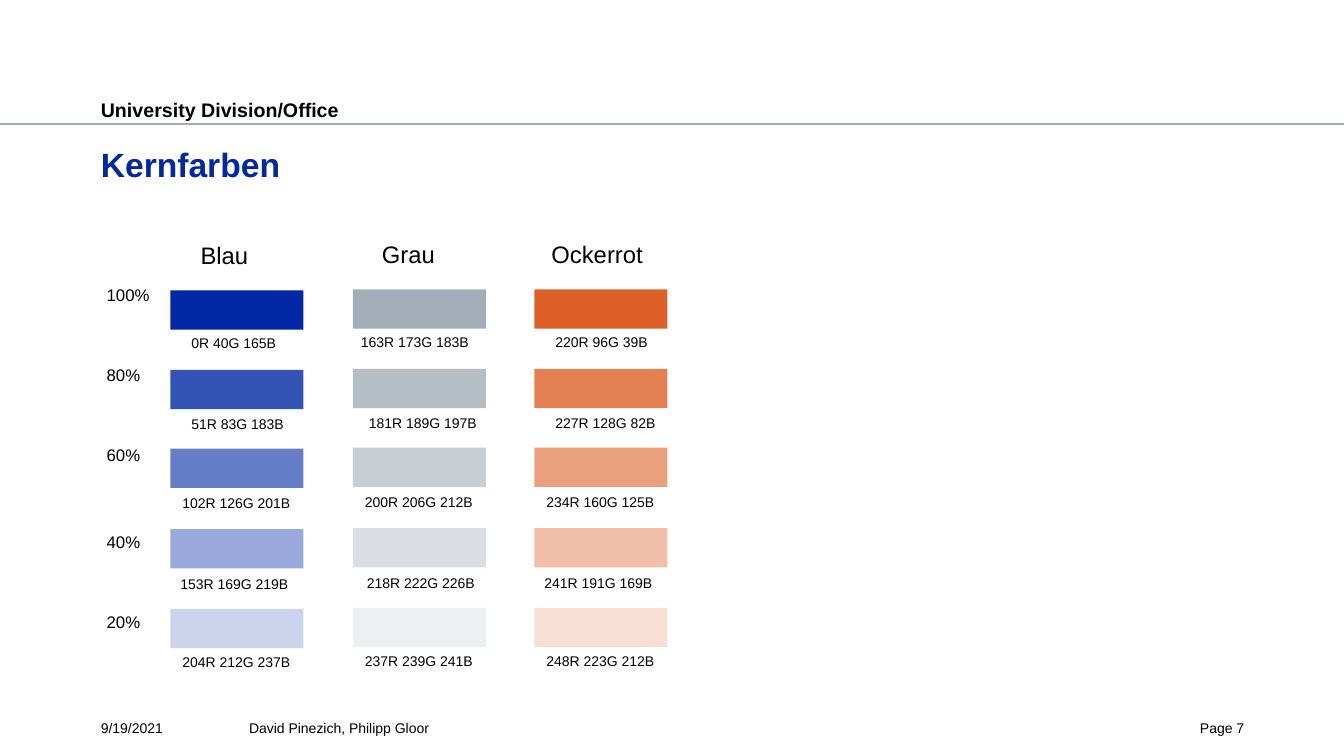
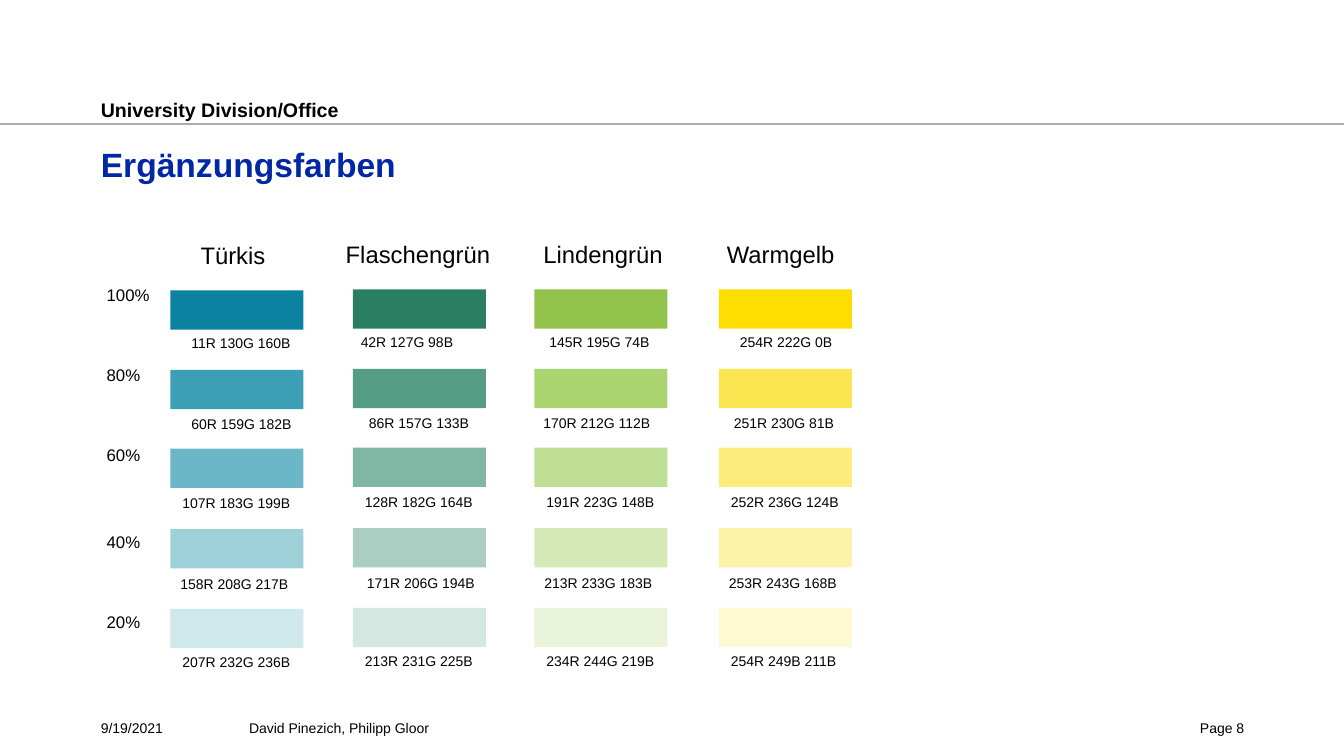
from dataclasses import dataclass

from lxml.etree import SubElement
from pptx import Presentation
from pptx.dml.color import RGBColor
from pptx.enum.shapes import MSO_CONNECTOR, MSO_SHAPE
from pptx.enum.text import MSO_AUTO_SIZE, PP_ALIGN
from pptx.oxml.ns import qn
from pptx.util import Inches, Pt


@dataclass(frozen=True)
class Theme:
    font: str = "Arial"
    ink: RGBColor = RGBColor(0, 0, 0)
    blue: RGBColor = RGBColor(0, 40, 165)
    rule: RGBColor = RGBColor(163, 173, 183)
    title: int = 24
    division: int = 14
    heading: int = 17
    percent: int = 12
    small: int = 10


@dataclass(frozen=True)
class Box:
    left: float
    top: float
    width: float
    height: float

    def inches(self):
        return [Inches(round(n, 2)) for n in (self.left, self.top, self.width, self.height)]


@dataclass(frozen=True)
class Family:
    name: str
    heading_indent: float
    heading_width: float
    tints: tuple
    label_indents: tuple = (0.11, 0.11, 0.02, 0, 0.02)


THEME = Theme()
WIDTH, HEIGHT = 13.33, 7.5
MARGIN, CONTENT_WIDTH = 1, 11.34

# Palette grid: columns from the page edge, rows from the top of the palette
COLUMN_LEFTS = (1.69, 3.5, 5.3, 7.13)
SWATCH_WIDTH, SWATCH_HEIGHT = 1.32, 0.39
PALETTE = Box(0.96, 2.33, 7.49, 4.37)
PERCENTS = ("100%", "80%", "60%", "40%", "20%")
PERCENT_TOPS = (0.45, 1.24, 2.03, 2.9, 3.69)
SWATCH_TOPS = (0.54, 1.33, 2.11, 2.91, 3.7)
LABEL_TOPS = (0.93, 1.73, 2.52, 3.32, 4.09)

CORE = (
    Family("Blau", 0.2, 0.68, ("0R 40G 165B", "51R 83G 183B", "102R 126G 201B",
                               "153R 169G 219B", "204R 212G 237B")),
    Family("Grau", 0.19, 0.73, ("163R 173G 183B", "181R 189G 197B", "200R 206G 212B",
                                "218R 222G 226B", "237R 239G 241B"),
           (-0.02, 0.06, 0.02, 0.04, 0.02)),
    Family("Ockerrot", 0.07, 1.12, ("220R 96G 39B", "227R 128G 82B", "234R 160G 125B",
                                    "241R 191G 169B", "248R 223G 212B")),
)
EXTRA = (
    Family("Türkis", 0.2, 0.85, ("11R 130G 160B", "60R 159G 182B", "107R 183G 199B",
                                 "158R 208G 217B", "207R 232G 236B")),
    Family("Flaschengrün", -0.17, 1.65, ("42R 127G 98B", "86R 157G 133B", "128R 182G 164B",
                                         "171R 206G 194B", "213R 231G 225B"),
           (-0.02, 0.06, 0.02, 0.04, 0.02)),
    Family("Lindengrün", -0.01, 1.4, ("145R 195G 74B", "170R 212G 112B", "191R 223G 148B",
                                      "213R 233G 183B", "234R 244G 219B"),
           (0.05, -0.01, 0.02, 0, 0.02)),
    Family("Warmgelb", -0.02, 1.28, ("254R 222G 0B", "251R 230G 81B", "252R 236G 124B",
                                     "253R 243G 168B", "254R 249B 211B"),
           (0.11, 0.05, 0.02, 0, 0.02)),
)


def add_text(page, box, text, size, color=THEME.ink, bold=False,
             align=PP_ALIGN.LEFT, top_inset=0):
    """Text in a fixed frame without side insets."""
    shape = page.shapes.add_textbox(*box.inches())
    frame = shape.text_frame
    frame.word_wrap = True
    frame.margin_left = frame.margin_right = frame.margin_bottom = 0
    frame.margin_top = Inches(top_inset)
    para = frame.paragraphs[0]
    para.alignment = align
    span = para.add_run()
    span.text = text
    span.font.name = THEME.font
    span.font.size = Pt(size)
    span.font.bold = bold
    span.font.color.rgb = color
    return frame


def add_label(page, box, text, size):
    """One-line label that fits its text, with the usual insets."""
    frame = add_text(page, box, text, size, top_inset=0.05)
    frame.margin_left = frame.margin_right = Inches(0.1)
    frame.margin_bottom = Inches(0.05)
    frame.word_wrap = False
    frame.auto_size = MSO_AUTO_SIZE.SHAPE_TO_FIT_TEXT


def add_swatch(page, box, color):
    shape = page.shapes.add_shape(MSO_SHAPE.RECTANGLE, *box.inches())
    shape.shadow.inherit = False
    shape.fill.solid()
    shape.fill.fore_color.rgb = color
    shape.line.fill.background()


def add_header(page, box, title):
    # Division name above a full-width rule, title below
    rule_top = Inches(box.top + 0.3)
    rule = page.shapes.add_connector(MSO_CONNECTOR.STRAIGHT, 0, rule_top, Inches(WIDTH), rule_top)
    rule.line.color.rgb = THEME.rule
    rule.line.width = Pt(1.25)
    SubElement(rule.element.spPr, qn("a:effectLst"))
    add_text(page, Box(box.left, box.top, 8.02, 0.25), "University Division/Office",
             THEME.division, bold=True, top_inset=0.04)
    add_text(page, Box(box.left, box.top + 0.46, box.width, 0.87), title,
             THEME.title, THEME.blue, bold=True, top_inset=0.04)


def add_footer(page, box, number):
    # Date, authors and page number
    add_text(page, Box(box.left, box.top, 1.36, box.height), "9/19/2021", THEME.small)
    add_text(page, Box(box.left + 1.47, box.top, 7.66, box.height),
             "David Pinezich, Philipp Gloor", THEME.small)
    add_text(page, Box(box.left + box.width - 0.91, box.top, 0.91, box.height),
             f"Page {number}", THEME.small, align=PP_ALIGN.RIGHT)


def add_family(page, box, family):
    # Heading, then one swatch with its RGB label per tint
    add_label(page, Box(box.left + family.heading_indent, box.top, family.heading_width, 0.39),
              family.name, THEME.heading)
    rows = zip(family.tints, family.label_indents, SWATCH_TOPS, LABEL_TOPS)
    for tint, indent, swatch_top, label_top in rows:
        color = RGBColor(*(int(channel[:-1]) for channel in tint.split()))
        add_swatch(page, Box(box.left, box.top + swatch_top, box.width, SWATCH_HEIGHT), color)
        label_width = 0.17 + 0.08 * len(tint)
        add_label(page, Box(box.left + indent, box.top + label_top, label_width, 0.27),
                  tint, THEME.small)


def add_palette(page, box, families):
    # Percent scale at the left
    for percent, top in zip(PERCENTS, PERCENT_TOPS):
        width = 0.63 if percent == "100%" else 0.54
        add_label(page, Box(box.left, box.top + top, width, 0.3), percent, THEME.percent)
    # Colour families; the first column sits slightly lower
    for column, (left, family) in enumerate(zip(COLUMN_LEFTS, families)):
        drop = 0.01 if column == 0 else 0
        add_family(page, Box(left, box.top + drop, SWATCH_WIDTH, box.height), family)


def add_color_page(deck, title, number, families):
    page = deck.slides.add_slide(deck.slide_layouts[6])
    add_header(page, Box(MARGIN, 0.93, CONTENT_WIDTH, 1.33), title)
    add_palette(page, PALETTE, families)
    add_footer(page, Box(MARGIN, 7.14, CONTENT_WIDTH, 0.24), number)


deck = Presentation()
deck.slide_width, deck.slide_height = Inches(WIDTH), Inches(HEIGHT)
add_color_page(deck, "Kernfarben", 7, CORE)
add_color_page(deck, "Ergänzungsfarben", 8, EXTRA)
deck.save("out.pptx")
